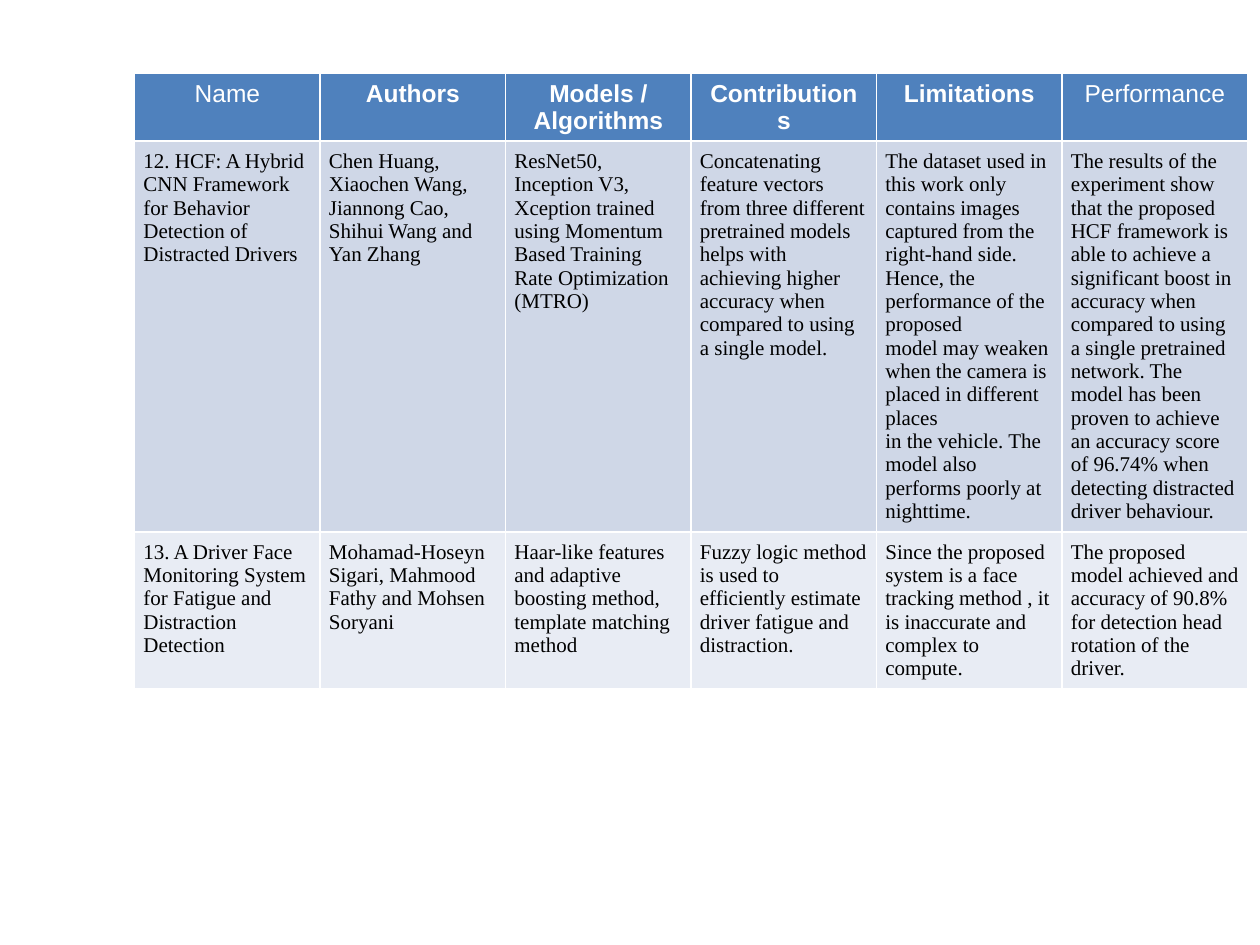
import pptx
import pptx.dml.color
import pptx.enum.text
import pptx.util

Pt = pptx.util.Pt


def paint(colour_format, colour):
    colour_format.rgb = pptx.dml.color.RGBColor.from_string(colour)


headings = ["Name", "Authors", "Models / Algorithms", "Contributions", "Limitations", "Performance"]
regular_headings = {"Name", "Performance"}
papers = [
    [
        "12. HCF: A Hybrid CNN Framework for Behavior Detection of Distracted Drivers",
        "Chen Huang, Xiaochen Wang, Jiannong Cao, Shihui Wang and Yan Zhang",
        "ResNet50, Inception V3, Xception trained using Momentum Based Training Rate "
        "Optimization (MTRO)",
        "Concatenating feature vectors from three different pretrained models helps with "
        "achieving higher accuracy when compared to using a single model.",
        "The dataset used in this work only contains images captured from the\n"
        "right-hand side. Hence, the performance of the proposed\n"
        "model may weaken when the camera is placed in different places\n"
        "in the vehicle. The model also performs poorly at nighttime.",
        "The results of the experiment show that the proposed HCF framework is able to "
        "achieve a significant boost in accuracy when compared to using a single pretrained "
        "network. The model has been proven to achieve an accuracy score of 96.74% when "
        "detecting distracted driver behaviour.",
    ],
    [
        "13. A Driver Face Monitoring System for Fatigue and Distraction Detection",
        "Mohamad-Hoseyn Sigari, Mahmood Fathy and Mohsen Soryani",
        "Haar-like features and adaptive boosting method, template matching method",
        "Fuzzy logic method is used to efficiently estimate driver fatigue and distraction.",
        "Since the proposed system is a face tracking method , it is inaccurate and complex "
        "to compute.",
        "The proposed model achieved and accuracy of 90.8% for detection head rotation of "
        "the driver.",
    ],
]
row_fills = ["4F81BD", "CFD7E7", "E8ECF4"]
column_width, row_height = 106, 29.5

prs = pptx.Presentation()
prs.slide_width, prs.slide_height = Pt(720), Pt(540)
slide = prs.slides.add_slide(prs.slide_layouts[6])

survey_rows = [headings] + papers
survey = slide.shapes.add_table(
    len(survey_rows), len(headings), Pt(77), Pt(42),
    Pt(column_width * len(headings)), Pt(row_height * len(survey_rows)),
).table

for row_number, (entries, row_fill) in enumerate(zip(survey_rows, row_fills)):
    is_heading = row_number == 0
    for column_number, entry in enumerate(entries):
        cell = survey.cell(row_number, column_number)
        cell.text = entry
        cell.fill.solid()
        paint(cell.fill.fore_color, row_fill)
        cell.margin_left = cell.margin_right = Pt(7.2 if is_heading else 5)
        cell.margin_top = cell.margin_bottom = Pt(3.6 if is_heading else 5)
        for paragraph in cell.text_frame.paragraphs:
            if is_heading:
                paragraph.alignment = pptx.enum.text.PP_ALIGN.CENTER
            paragraph.font.name = "Arial" if is_heading else "Times New Roman"
            paragraph.font.size = Pt(14 if is_heading else 12)
            paragraph.font.bold = is_heading and entry not in regular_headings
            paint(paragraph.font.color, "FFFFFF" if is_heading else "000000")

prs.save("out.pptx")
